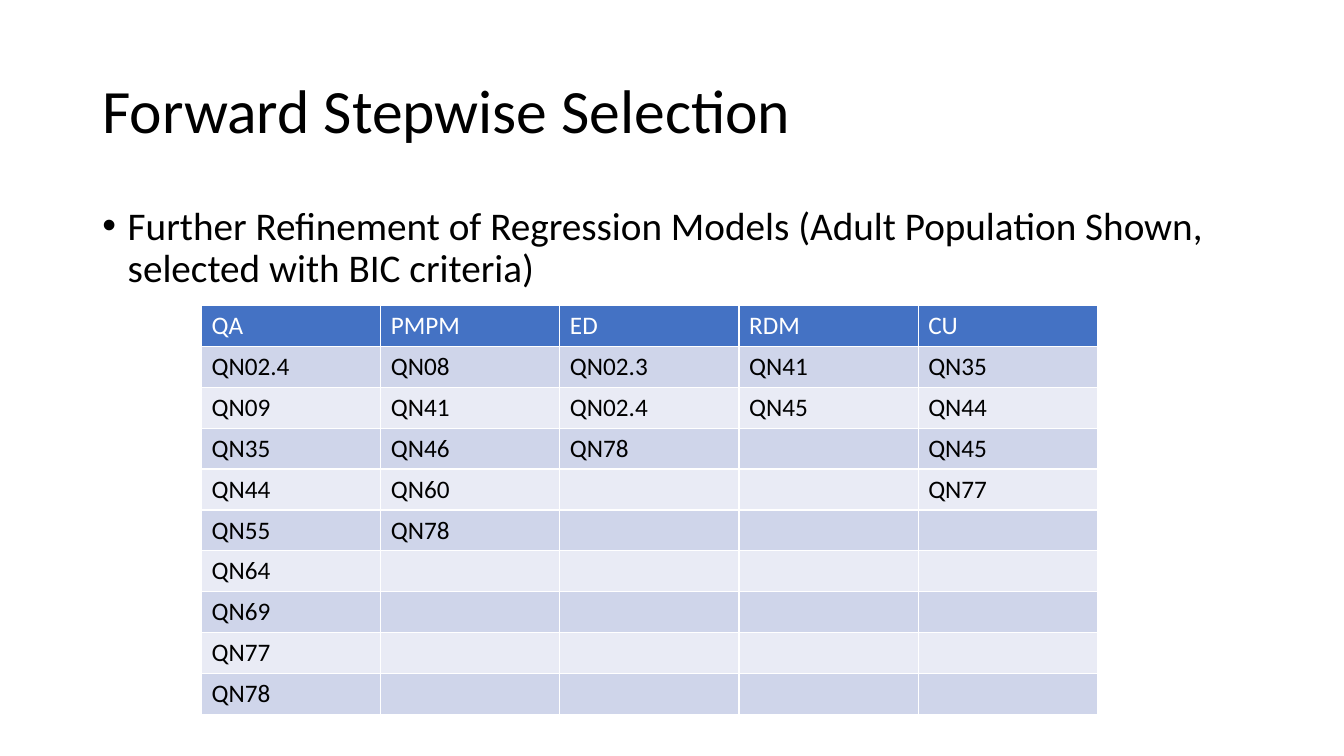
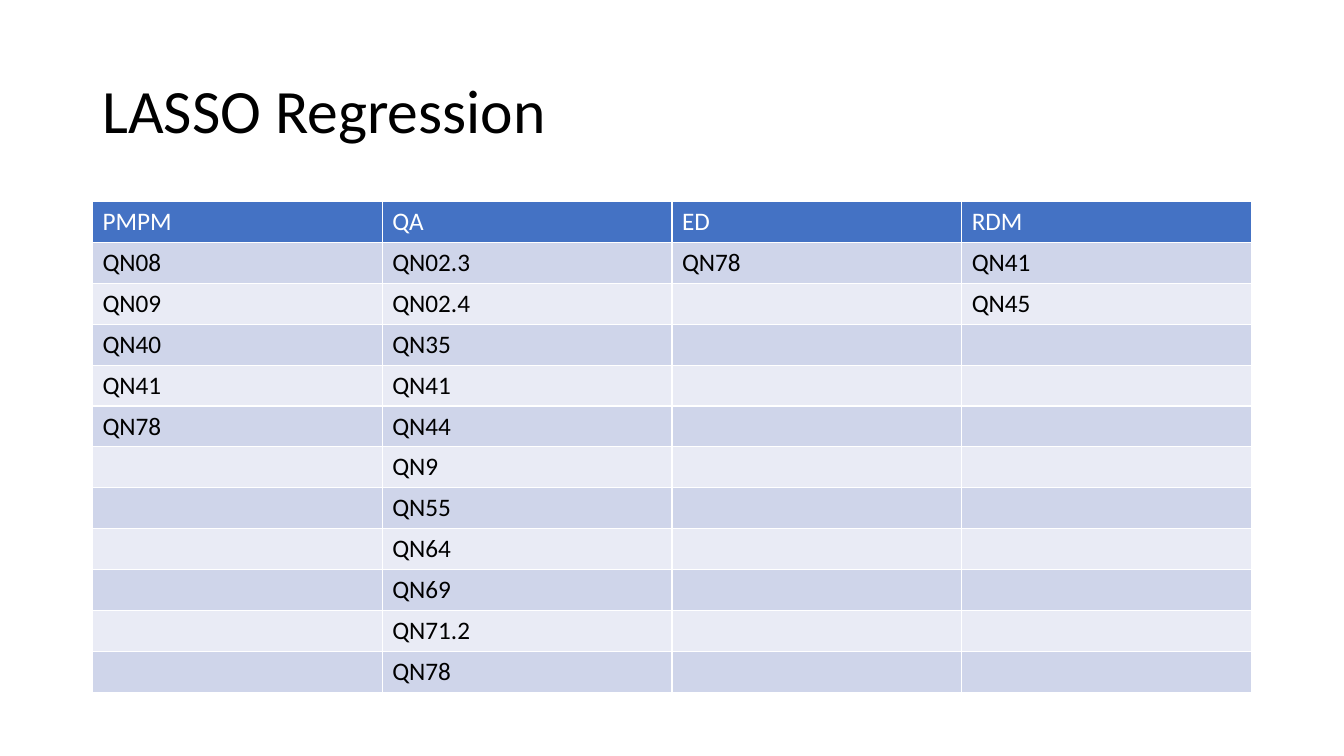
from itertools import zip_longest

from lxml.etree import SubElement
from pptx import Presentation
from pptx.dml.color import RGBColor
from pptx.enum.text import MSO_ANCHOR
from pptx.oxml.ns import qn
from pptx.util import Cm, Pt

HUES = {
    "ink": "000000",
    "white": "FFFFFF",
    "head": "4472C4",
    "odd": "CFD5EA",
    "even": "E9EBF5",
}
LEFT, TOP, WIDE = 2.33, 5.08, 29.21
ROW = 1.03


def put(item, vals):
    for name, val in vals.items():
        setattr(item, name, val)


class Deck:
    fonts = {
        "title": {"name": "Calibri", "size": Pt(44)},
        "body": {"name": "Calibri", "size": Pt(28)},
        "cell": {"name": "Calibri", "size": Pt(18), "bold": False},
    }

    def __init__(self):
        self.file = Presentation()
        put(self.file, {"slide_width": Cm(33.87), "slide_height": Cm(19.05)})
        self.slide = None

    def page(self, title):
        self.slide = self.file.slides.add_slide(self.file.slide_layouts[6])
        self.text(title, "title", (LEFT, 1.01, WIDE, 3.68),
                  {"vertical_anchor": MSO_ANCHOR.MIDDLE})

    def style(self, font, kind, hue="ink"):
        put(font, self.fonts[kind])
        font.color.rgb = RGBColor.from_string(HUES[hue])

    def text(self, words, kind, area, frame):
        box = self.slide.shapes.add_textbox(*map(Cm, area)).text_frame
        put(box, {"word_wrap": True, **frame})
        para = box.paragraphs[0]
        para.line_spacing = 0.9
        run = para.add_run()
        run.text = words
        self.style(run.font, kind)
        return para

    def bullet(self, words):
        para = self.text(words, "body", (LEFT, TOP, WIDE, 12.09), {})
        para.space_before = Pt(10)
        props = para._p.get_or_add_pPr()
        props.set("marL", str(Cm(0.64)))
        props.set("indent", str(-Cm(0.64)))
        SubElement(props, qn("a:buFont"), typeface="Arial")
        SubElement(props, qn("a:buChar"), char="•")

    def edge(self, cell):
        props = cell._tc.get_or_add_tcPr()
        for side in "LRTB":
            line = SubElement(props, qn(f"a:ln{side}"), w=str(Pt(1)))
            fill = SubElement(line, qn("a:solidFill"))
            SubElement(fill, qn("a:srgbClr"), val=HUES["white"])

    def cell(self, cell, words, fill, ink):
        self.edge(cell)
        cell.fill.solid()
        cell.fill.fore_color.rgb = RGBColor.from_string(HUES[fill])
        cell.text = words
        self.style(cell.text_frame.paragraphs[0].font, "cell", ink)

    def table(self, left, top, wide, cols):
        rows = [tuple(cols), *zip_longest(*map(str.split, cols.values()), fillvalue="")]
        grid = self.slide.shapes.add_table(
            len(rows), len(cols), Cm(left), Cm(top), Cm(wide), Cm(ROW * len(rows))).table
        for i, row in enumerate(rows):
            grid.rows[i].height = Cm(ROW)
            fill = ("odd" if i % 2 else "even") if i else "head"
            for j, words in enumerate(row):
                self.cell(grid.cell(i, j), words, fill, "ink" if i else "white")


def main():
    deck = Deck()

    deck.page("Forward Stepwise Selection")
    deck.bullet("Further Refinement of Regression Models "
                "(Adult Population Shown, selected with BIC criteria)")
    deck.table(5.08, 7.7, 22.58, {
        "QA": "QN02.4 QN09 QN35 QN44 QN55 QN64 QN69 QN77 QN78",
        "PMPM": "QN08 QN41 QN46 QN60 QN78",
        "ED": "QN02.3 QN02.4 QN78",
        "RDM": "QN41 QN45",
        "CU": "QN35 QN44 QN45 QN77",
    })

    deck.page("LASSO Regression")
    deck.table(LEFT, TOP, WIDE, {
        "PMPM": "QN08 QN09 QN40 QN41 QN78",
        "QA": "QN02.3 QN02.4 QN35 QN41 QN44 QN9 QN55 QN64 QN69 QN71.2 QN78",
        "ED": "QN78",
        "RDM": "QN41 QN45",
    })

    deck.file.save("out.pptx")


if __name__ == "__main__":
    main()
